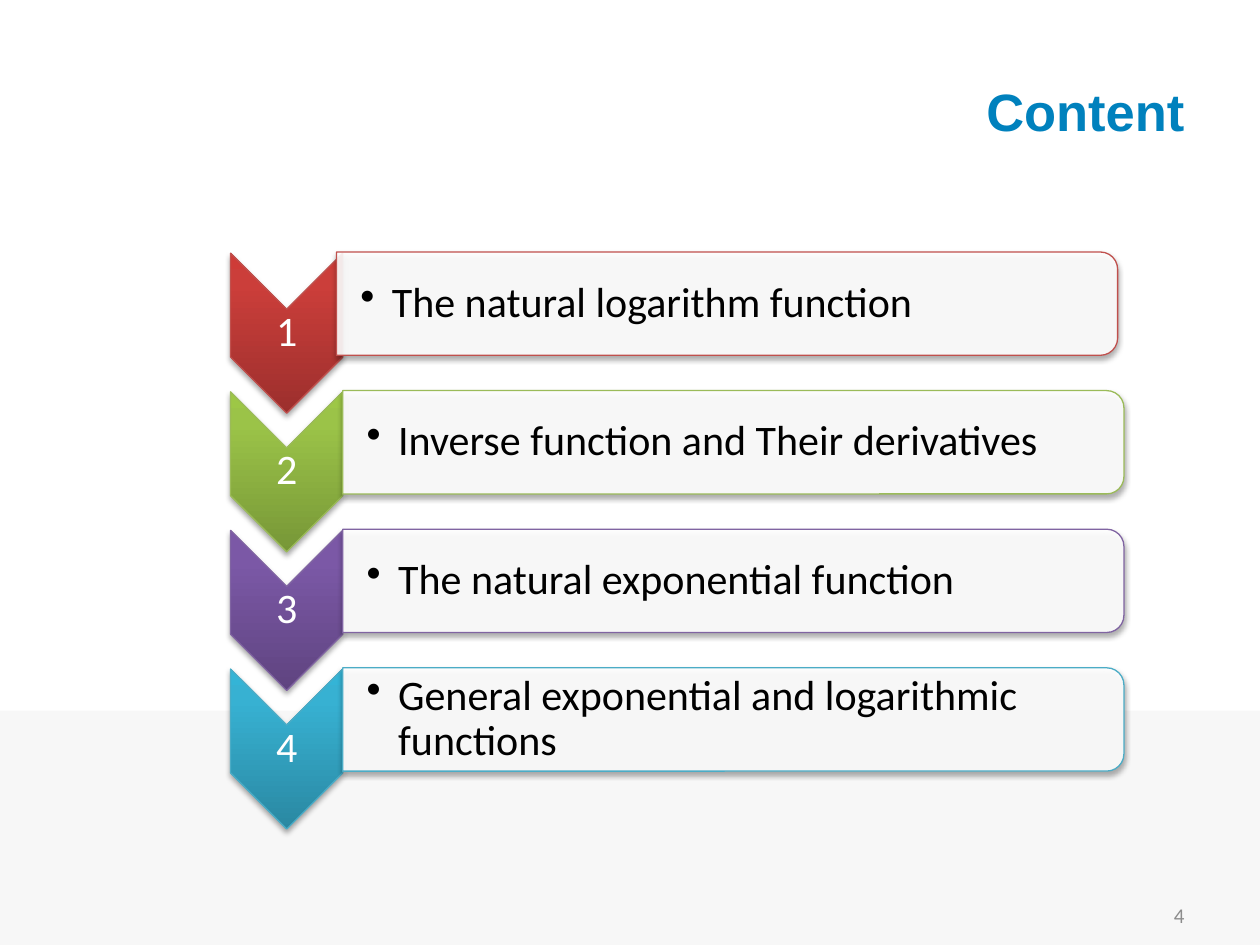
import copy
import pptx
import pptx.chart.data
import pptx.dml.color
import pptx.enum.shapes
import pptx.enum.text
import pptx.oxml
import pptx.oxml.ns
import pptx.util

Inches = pptx.util.Inches
Pt = pptx.util.Pt
Kind = pptx.enum.shapes.MSO_SHAPE
Align = pptx.enum.text.PP_ALIGN
qn = pptx.oxml.ns.qn
NS = pptx.oxml.ns.nsdecls("a")


def rgb(code):
    return pptx.dml.color.RGBColor.from_string(code)


def write(home, spot, text, side, style, color, inset=None):
    box = home.add_textbox(*map(Inches, spot))
    frame = box.text_frame
    frame.word_wrap = True
    frame.vertical_anchor = pptx.enum.text.MSO_ANCHOR.MIDDLE
    for edge, size in (inset or {}).items():
        setattr(frame, "margin_" + edge, Inches(size))
    para = frame.paragraphs[0]
    para.alignment = side
    run = para.add_run()
    run.text = text
    for name, value in style.items():
        setattr(run.font, name, value)
    run.font.color.rgb = rgb(color)
    return para


body = {"name": "Calibri", "size": Pt(24)}
small = {"name": "Calibri", "size": Pt(12)}
head = {"name": "Arial", "size": Pt(30), "bold": True}
tight = {"left": 0.02, "top": 0.02, "right": 0.02, "bottom": 0.02}
wide = {**tight, "left": 0.19}
shade = (
    f'<a:effectLst {NS}><a:outerShdw blurRad="40000" dist="23000" dir="5400000" '
    'rotWithShape="0"><a:srgbClr val="000000"><a:alpha val="35000"/></a:srgbClr>'
    "</a:outerShdw></a:effectLst>"
)
items = [
    ("The natural logarithm function", "C0504D", ("9C2F2D", "CB3E3A", "CE3B37"), 2.67),
    ("Inverse function and Their derivatives", "9BBB59", ("779737", "9BC348", "9DC746"), 2.72),
    ("The natural exponential function", "8064A2", ("5F4480", "7B58A6", "7C57A8"), 2.72),
    ("General exponential and logarithmic functions", "4BACC6", ("2A88A2", "37B1D2", "34B4D6"), 2.72),
]

deck = pptx.Presentation()
deck.slide_width = Inches(10)
deck.slide_height = Inches(7.5)
slide = deck.slides.add_slide(deck.slide_layouts[6])
shapes = slide.shapes

band = shapes.add_shape(Kind.RECTANGLE, 0, Inches(5.64), Inches(10), Inches(1.86))
band.shadow.inherit = False
band.fill.solid()
band.fill.fore_color.rgb = rgb("F7F7F7")
band.line.fill.background()
write(shapes, (7.17, 7.06, 2.33, 0.4), "4", Align.RIGHT, small, "8C8C8C")

group = shapes.add_group_shape().shapes
for row, (text, edge, tones, left) in enumerate(items):
    down = 1.1 * row
    arrow = group.add_shape(Kind.CHEVRON, *map(Inches, (1.64, 2.2 + down, 1.27, 0.89)))
    arrow.fill.gradient()
    arrow.fill.gradient_angle = 90
    grad = arrow._element.spPr.find(qn("a:gradFill"))
    grad.set("rotWithShape", "0")
    stops = grad.find(qn("a:gsLst"))
    stops.append(copy.deepcopy(stops[-1]))
    for stop, place, tone in zip(arrow.fill.gradient_stops, (0, 0.8, 1), tones):
        stop.position = place
        stop.color.rgb = rgb(tone)
    spot = (1.83, 2.45 + down, 0.89, 0.38)
    para = write(group, spot, str(row + 1), Align.CENTER, body, "FFFFFF", tight)
    para.line_spacing = 0.9

    panel = group.add_shape(
        Kind.ROUND_2_SAME_RECTANGLE, *map(Inches, (left + 2.69, down - 0.69, 0.82, 6.2))
    )
    panel.fill.solid()
    panel.fill.fore_color.rgb = rgb("FFFFFF")
    paint = panel._element.spPr.find(qn("a:solidFill"))[0]
    paint.append(pptx.oxml.parse_xml(f'<a:alpha {NS} val="90000"/>'))
    for shape in (arrow, panel):
        shape.rotation = 90
        shape.line.color.rgb = rgb(edge)
        shape.line.width = Pt(0.75)
        shape._element.spPr.append(pptx.oxml.parse_xml(shade))

    spot = (left, 2.04 + down, 6.16, 0.74)
    para = write(group, spot, text, Align.LEFT, body, "000000", wide)
    para.level = 1
    para.line_spacing = 0.9
    props = para._p.get_or_add_pPr()
    props.set("marL", str(Inches(0.25)))
    props.set("indent", str(Inches(-0.25)))
    props.append(pptx.oxml.parse_xml(f'<a:buChar {NS} char="•"/>'))

write(shapes, (0.5, 0.25, 9, 1.25), "Content", Align.RIGHT, head, "0081BD")
deck.save("out.pptx")
